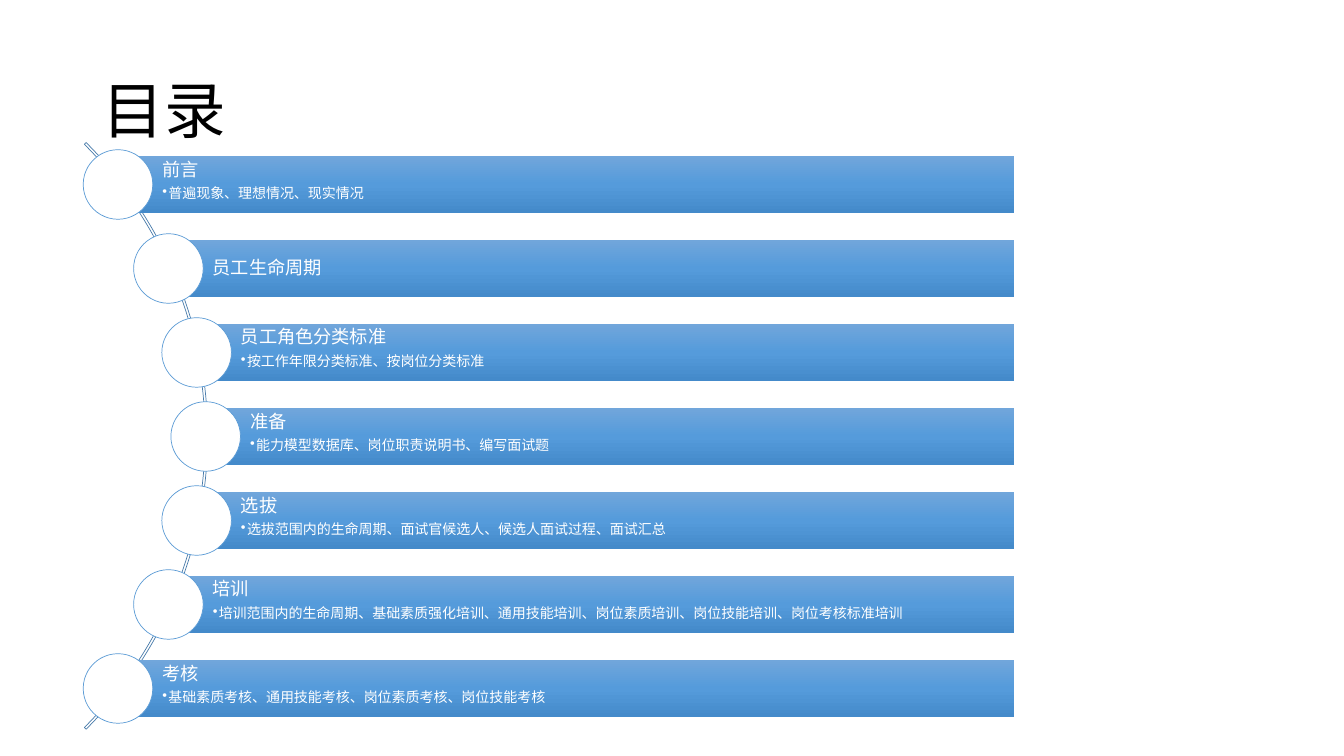
"""Build a contents slide with seven bars set along an arc."""
from copy import deepcopy
from dataclasses import dataclass

from lxml import etree
from pptx import Presentation
from pptx.dml.color import RGBColor
from pptx.enum import shapes, text
from pptx.oxml.ns import qn
from pptx.util import Inches, Pt


@dataclass(frozen=True)
class Theme:
    font: str = "Noto Sans CJK SC"
    ink: str = "000000"
    paper: str = "FFFFFF"
    arc_line: str = "497CAB"
    circle_line: str = "5B9BD5"
    gradient: tuple = ((0, "71A6DB"), (0.5, "559BDB"), (1, "448ACA"))
    title_size: int = 44
    heading_size: int = 13
    detail_size: int = 10
    line_width: float = 0.5


class ContentsSlide:
    def __init__(self, presentation, theme):
        self.theme = theme
        self.slide = presentation.slides.add_slide(presentation.slide_layouts[5])
        self.diagram = self.slide.shapes.add_group_shape()

    def run(self, paragraph, words, size, color):
        run = paragraph.add_run()
        run.text = words
        run.font.size = Pt(size)
        run.font.name = self.theme.font
        run.font.color.rgb = RGBColor.from_string(color)
        east_asian = etree.SubElement(run.font._element, qn("a:ea"))
        east_asian.set("typeface", self.theme.font)

    def title(self, words, left, top, width, height):
        title = self.slide.shapes.title
        title.left, title.top = Inches(left), Inches(top)
        title.width, title.height = Inches(width), Inches(height)
        frame = title.text_frame
        frame.auto_size = text.MSO_AUTO_SIZE.NONE
        frame.vertical_anchor = text.MSO_ANCHOR.MIDDLE
        paragraph = frame.paragraphs[0]
        paragraph.alignment = text.PP_ALIGN.LEFT
        paragraph.line_spacing = 0.9
        self.run(paragraph, words, self.theme.title_size, self.theme.ink)

    def shape(self, kind, left, top, width, height, line=None):
        shape = self.diagram.shapes.add_shape(
            kind, Inches(left), Inches(top), Inches(width), Inches(height))
        shape.shadow.inherit = False
        if line:
            shape.line.color.rgb = RGBColor.from_string(line)
            shape.line.width = Pt(self.theme.line_width)
        else:
            shape.line.fill.background()
        return shape

    def arc(self, left, top, size):
        arc = self.shape(shapes.MSO_SHAPE.BLOCK_ARC, left, top, size, size,
                         self.theme.arc_line)
        arc.fill.background()
        for index, value in enumerate((189, 27, 0.003)):
            arc.adjustments[index] = value

    def circle(self, left, top, size):
        circle = self.shape(shapes.MSO_SHAPE.OVAL, left, top, size, size,
                            self.theme.circle_line)
        circle.fill.solid()
        circle.fill.fore_color.rgb = RGBColor.from_string(self.theme.paper)

    def bar(self, heading, detail, left, top, width, height):
        bar = self.shape(shapes.MSO_SHAPE.RECTANGLE, left, top, width, height)
        bar.fill.gradient()
        bar.fill.gradient_angle = 270
        stops = next(bar._element.iter(qn("a:gsLst")))
        stops.insert(1, deepcopy(stops[0]))
        for stop, (position, color) in zip(bar.fill.gradient_stops, self.theme.gradient):
            stop.position = position
            stop.color.rgb = RGBColor.from_string(color)

        frame = bar.text_frame
        frame.word_wrap = True
        frame.margin_left = Inches(0.44)
        frame.margin_top = frame.margin_right = frame.margin_bottom = Inches(0.04)
        frame.vertical_anchor = text.MSO_ANCHOR.TOP if detail else text.MSO_ANCHOR.MIDDLE
        self.paragraph(frame.paragraphs[0], heading, self.theme.heading_size, 35)
        if detail:
            self.paragraph(frame.add_paragraph(), detail, self.theme.detail_size, 15, True)

    def paragraph(self, paragraph, words, size, percent_after, bullet=False):
        paragraph.alignment = text.PP_ALIGN.LEFT
        paragraph.line_spacing = 0.9
        properties = paragraph._p.get_or_add_pPr()
        after = etree.SubElement(properties, qn("a:spcAft"))
        etree.SubElement(after, qn("a:spcPct")).set("val", str(percent_after * 1000))
        if bullet:
            paragraph.level = 1
            properties.set("marL", str(Inches(0.06)))
            properties.set("indent", str(Inches(-0.06)))
            etree.SubElement(properties, qn("a:buChar")).set("char", "•")
        self.run(paragraph, words, size, self.theme.paper)


CHAPTERS = (
    ("前言", "普遍现象、理想情况、现实情况"),
    ("员工生命周期", ""),
    ("员工角色分类标准", "按工作年限分类标准、按岗位分类标准"),
    ("准备", "能力模型数据库、岗位职责说明书、编写面试题"),
    ("选拔", "选拔范围内的生命周期、面试官候选人、候选人面试过程、面试汇总"),
    ("培训", "培训范围内的生命周期、基础素质强化培训、通用技能培训、"
             "岗位素质培训、岗位技能培训、岗位考核标准培训"),
    ("考核", "基础素质考核、通用技能考核、岗位素质考核、岗位技能考核"),
)
LEFT_BY_DISTANCE_FROM_MIDDLE = (2.04, 1.95, 1.67, 1.17)
BAR_RIGHT, BAR_HEIGHT = 10.06, 0.56
FIRST_TOP, LAST_TOP = 1.55, 6.55
CIRCLE_SIZE = 0.69

presentation = Presentation()
presentation.slide_width, presentation.slide_height = Inches(13.33), Inches(7.5)
contents = ContentsSlide(presentation, Theme())
contents.title("目录", 0.92, 0.4, 11.5, 1.45)
contents.arc(-6.17, 0.21, 8.23)

middle = len(CHAPTERS) // 2
pitch = (LAST_TOP - FIRST_TOP) / (len(CHAPTERS) - 1)
for index, (heading, detail) in enumerate(CHAPTERS):
    left = LEFT_BY_DISTANCE_FROM_MIDDLE[abs(index - middle)]
    top = FIRST_TOP + index * pitch
    contents.bar(heading, detail, left, top, BAR_RIGHT - left, BAR_HEIGHT)
    contents.circle(left - CIRCLE_SIZE / 2, top + (BAR_HEIGHT - CIRCLE_SIZE) / 2, CIRCLE_SIZE)

presentation.save("out.pptx")
